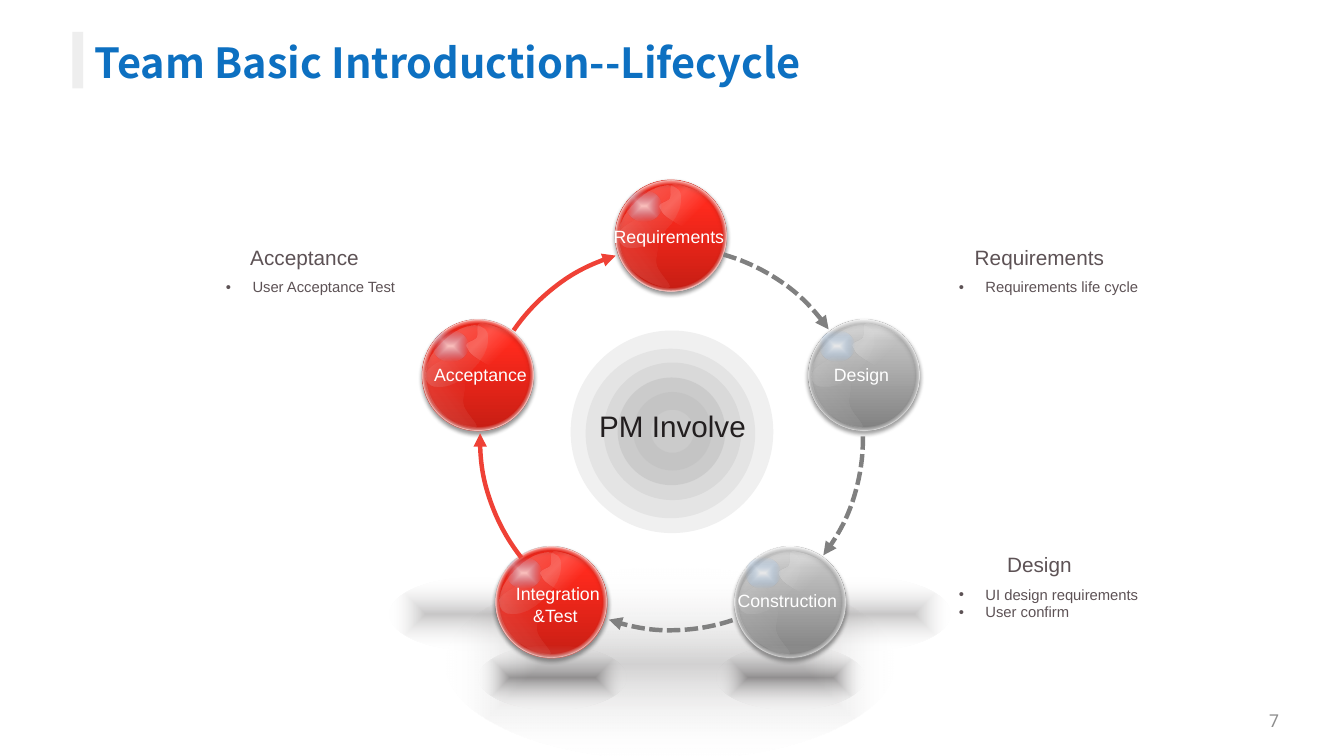
from math import cos, radians, sin

from pptx import Presentation
from pptx.dml.color import RGBColor
from pptx.enum.dml import MSO_LINE
from pptx.enum.shapes import MSO_SHAPE
from pptx.enum.text import MSO_ANCHOR, PP_ALIGN
from pptx.oxml import parse_xml
from pptx.oxml.ns import nsdecls, qn
from pptx.util import Emu, Pt

PX = 9144  # 100 px to the inch

WHITE = RGBColor(0xFF, 0xFF, 0xFF)
BLUE = RGBColor(0x0D, 0x70, 0xC1)
INK = RGBColor(0x22, 0x1E, 0x1F)
BROWN = RGBColor(0x5D, 0x52, 0x55)
PAGE_GREY = RGBColor(0x8D, 0x8D, 0x8D)
BAR_GREY = RGBColor(0xEE, 0xEE, 0xEE)
ARROW_GREY = RGBColor(0x80, 0x80, 0x80)
ARROW_RED = RGBColor(0xEF, 0x41, 0x36)
RIM_RED = RGBColor(0xEE, 0x3C, 0x30)
MID_GREY = RGBColor(0xBF, 0xBF, 0xBF)
PALE_GREY = RGBColor(0xD9, 0xD9, 0xD9)
SILVER = RGBColor(0xB6, 0xB6, 0xB6)
SKY = RGBColor(0x67, 0xAB, 0xF5)
CORE_GREY = RGBColor(0xCB, 0xCB, 0xCB)

# Gradient stops: position, colour, opacity in percent
RED_STOPS = ((0, RGBColor(0xC7, 0x1E, 0x14), 100), (80, RGBColor(0xFF, 0x2A, 0x1D), 100),
             (100, RGBColor(0xFF, 0x2C, 0x1E), 100))
GREY_STOPS = ((0, ARROW_GREY, 100), (80, MID_GREY, 100), (100, PALE_GREY, 100))
RIM_STOPS = ((0, WHITE, 0), (65, WHITE, 0), (74, WHITE, 100))

# Reflections inside a ball: start point, then Bezier points, from its top left
RIGHT_REFLECTION = (
    (55, 4), (49, 4), (53, 13), (51, 17), (49, 21), (37, 21), (43, 28), (45, 37), (79, 49),
    (82, 59), (85, 69), (83, 70), (86, 69), (89, 68), (101, 60), (101, 52), (101, 43),
    (94, 24), (86, 17), (78, 9), (61, 4), (55, 4))
LEFT_REFLECTION = (
    (34, 29), (31, 29), (21, 35), (16, 39), (11, 42), (5, 45), (3, 51), (2, 56), (3, 64),
    (6, 69), (8, 75), (11, 81), (16, 85), (21, 90), (28, 94), (34, 97), (40, 99), (50, 103),
    (51, 100), (52, 97), (41, 87), (39, 80), (37, 73), (41, 66), (40, 59), (38, 52),
    (34, 40), (33, 35), (32, 30), (37, 28), (34, 29))

BALL = 104
CYCLE_X, CYCLE_Y, CYCLE_RADIUS = 629, 411, 190

# Rings: left, top, size, fill
RINGS = ((535, 310, 190, RGBColor(0xF0, 0xF0, 0xF0)), (549, 327, 159, RGBColor(0xE4, 0xE4, 0xE4)),
         (566, 340, 129, PALE_GREY))
# Label, is red, label left, top, width and height
STAGES = (("Requirements ", True, 556, 207, 147, 30), ("Design ", False, 763, 336, 94, 30),
          ("Construction ", False, 680, 548, 121, 30),
          ("Integration &Test ", True, 472, 542, 102, 50),
          ("Acceptance ", True, 397, 336, 107, 30))
# Rotation, start and end angle, is red
ARROWS = ((145.6, 285.77, 323.49, False), (219.1, 282.5, 322.54, True),
          (0, 285.77, 325.15, False), (73.5, 285.77, 324, False),
          (289.6, 284.88, 323.49, True))
# Heading, its left and top, bullets, their left, width and alignment
NOTES = (("Acceptance", 197, 225, ("User Acceptance Test",), 199, 184, PP_ALIGN.CENTER),
         ("Requirements", 886, 225, ("Requirements life cycle",), 889, 189, PP_ALIGN.LEFT),
         ("Design", 886, 513, ("UI design requirements", "User confirm"), 889, 201,
          PP_ALIGN.LEFT))


def add_preset(page, preset, left, top, width, height, fill=None):
    shape = page.shapes.add_shape(preset, *(Emu(round(v * PX)) for v in (left, top, width, height)))
    shape.shadow.inherit = False
    shape.line.fill.background()
    if fill is None:
        shape.fill.background()
    else:
        shape.fill.solid()
        shape.fill.fore_color.rgb = fill
    return shape


def add_oval(page, left, top, width, height, fill=None):
    return add_preset(page, MSO_SHAPE.OVAL, left, top, width, height, fill)


def set_line(shape, colour, points):
    shape.line.color.rgb = colour
    shape.line.width = Pt(points)


def set_opacity(parent, percent):
    colour = next(parent.iter(qn("a:srgbClr")))
    colour.append(parse_xml(f'<a:alpha {nsdecls("a")} val="{percent * 1000}"/>'))


def set_gradient(shape, stops, angle=None, kind="shape", focus=(50, 50, 50, 50)):
    """A linear gradient when an angle is given, otherwise one around the focus."""
    stop_xml = "".join(
        f'<a:gs pos="{position * 1000}"><a:srgbClr val="{colour}">'
        f'<a:alpha val="{opacity * 1000}"/></a:srgbClr></a:gs>'
        for position, colour, opacity in stops)
    if angle is None:
        sides = " ".join(f'{side}="{v * 1000}"' for side, v in zip("ltrb", focus))
        course = f'<a:path path="{kind}"><a:fillToRect {sides}/></a:path>'
    else:
        course = f'<a:lin ang="{angle * 60000}" scaled="0"/>'
    shape.fill.solid()
    properties = shape.element.spPr
    properties.replace(properties.find(qn("a:solidFill")), parse_xml(
        f'<a:gradFill {nsdecls("a")} rotWithShape="1"><a:gsLst>{stop_xml}</a:gsLst>'
        f'{course}</a:gradFill>'))


def set_drop_shadow(shape):
    shape.element.spPr.find(qn("a:effectLst")).append(parse_xml(
        f'<a:outerShdw {nsdecls("a")} blurRad="{Pt(3.1)}" dist="{Pt(1.8)}" dir="5400000" '
        'algn="t" rotWithShape="0"><a:srgbClr val="000000"><a:alpha val="35000"/>'
        '</a:srgbClr></a:outerShdw>'))


def add_glow(page, left, top, width, height, opacity):
    glow = add_oval(page, left, top, width, height)
    set_gradient(glow, ((0, INK, opacity), (100, WHITE, 0)))


def add_reflection(page, left, top, outline):
    start, *points = [((left + x) * PX, (top + y) * PX) for x, y in outline]
    builder = page.shapes.build_freeform(*start)
    builder.add_line_segments(points, close=True)
    shape = builder.convert_to_shape()
    shape.shadow.inherit = False
    shape.line.fill.background()
    # Every three line points become one Bezier curve
    lines = list(shape.element.iter(qn("a:lnTo")))
    for i in range(0, len(lines), 3):
        curve = parse_xml(f'<a:cubicBezTo {nsdecls("a")}/>')
        lines[i].addprevious(curve)
        for line in lines[i:i + 3]:
            curve.append(line[0])
            line.getparent().remove(line)
    return shape


def add_ball(page, x, y, red):
    left, top = x - BALL / 2, y - BALL / 2
    # Body and rim
    body = add_oval(page, left, top, BALL, BALL)
    set_gradient(body, RED_STOPS if red else GREY_STOPS, angle=270)
    if red:
        set_line(body, RIM_RED, 0.75)
    rim = add_oval(page, left, top, BALL, BALL)
    set_gradient(rim, RIM_STOPS, kind="circle")
    set_line(rim, WHITE, 0.75)
    set_opacity(rim.element.spPr.find(qn("a:ln")), 25)
    for shape in (body, rim):
        set_drop_shadow(shape)
    # Gloss and reflections
    gloss = add_oval(page, left - 4, top + 15, 72, 38)
    gloss.rotation = 315
    set_gradient(gloss, ((0, WHITE, 33), (100, SILVER, 0)), angle=90)
    spark = add_oval(page, left + 10, top + 10, 33, 29)
    set_gradient(spark, ((0, WHITE, 65), (100, SKY, 0)))
    set_gradient(add_reflection(page, left, top, RIGHT_REFLECTION),
                 ((50, WHITE, 0), (74, WHITE, 19), (100, WHITE, 0)),
                 kind="circle", focus=(100, 100, 0, 0))
    set_gradient(add_reflection(page, left, top, LEFT_REFLECTION),
                 ((0, WHITE, 0), (28, WHITE, 0), (74, WHITE, 11)), angle=142)
    low_gloss = add_oval(page, left + 39, top + 56, 72, 38)
    low_gloss.rotation = 135
    set_gradient(low_gloss, ((0, WHITE, 33), (20, SILVER, 0)), angle=90)


def add_arrow(page, rotation, start, end, red):
    arrow = add_preset(page, MSO_SHAPE.ARC, 450, 232, 359, 359)
    arrow.rotation = rotation
    arrow.adjustments[0], arrow.adjustments[1] = start * 0.6, end * 0.6
    set_line(arrow, ARROW_RED if red else ARROW_GREY, 3)
    if not red:
        arrow.line.dash_style = MSO_LINE.SQUARE_DOT
    arrow.element.spPr.find(qn("a:ln")).append(
        parse_xml(f'<a:tailEnd {nsdecls("a")} type="triangle"/>'))


def add_text(page, left, top, width, height, lines, size, colour, font="Arial",
             align=PP_ALIGN.CENTER, anchor=MSO_ANCHOR.TOP, bold=False, bullet=False):
    box = page.shapes.add_textbox(*(Emu(v * PX) for v in (left, top, width, height)))
    frame = box.text_frame
    frame.word_wrap = True
    frame.vertical_anchor = anchor
    frame.text = "\n".join(lines)
    for para in frame.paragraphs:
        para.alignment = align
        if bullet:
            settings = para._p.get_or_add_pPr()
            settings.set("marL", str(25 * PX))
            settings.set("indent", str(-25 * PX))
            settings.append(parse_xml(f'<a:buFont {nsdecls("a")} typeface="Arial"/>'))
            settings.append(parse_xml(f'<a:buChar {nsdecls("a")} char="•"/>'))
        for span in para.runs:
            span.font.name, span.font.size, span.font.bold = font, Pt(size), bold
            span.font.color.rgb = colour
    return frame


def main():
    deck = Presentation()
    deck.slide_width, deck.slide_height = Emu(1260 * PX), Emu(709 * PX)
    page = deck.slides.add_slide(deck.slide_layouts[6])

    # Title and page number
    add_preset(page, MSO_SHAPE.RECTANGLE, 68, 30, 10, 53, BAR_GREY)
    add_text(page, 915, 657, 294, 38, ["7"], 12, PAGE_GREY, "Roboto", PP_ALIGN.RIGHT,
             MSO_ANCHOR.MIDDLE)
    title = add_text(page, 79, 31, 986, 49, ["Team Basic Introduction--Lifecycle"], 28, BLUE,
                     "Noto Sans CJK SC", PP_ALIGN.LEFT, bold=True)
    title.margin_top = Emu(4 * PX)

    # Rings in the middle and glows on the floor
    for left, top, size, grey in RINGS:
        add_oval(page, left, top, size, size, grey)
    inner_ring = add_oval(page, 579, 354, 101, 101, MID_GREY)
    set_opacity(inner_ring.element.spPr, 50)
    for left in (365, 730):
        add_glow(page, left, 542, 161, 68, 25)
    add_glow(page, 418, 532, 421, 180, 20)

    # Cycle: balls, arrows, labels
    for i, (_, red, *_) in enumerate(STAGES):
        turn = radians(72 * i)
        add_ball(page, round(CYCLE_X + CYCLE_RADIUS * sin(turn)),
                 round(CYCLE_Y - CYCLE_RADIUS * cos(turn)), red)
    for arrow in ARROWS:
        add_arrow(page, *arrow)
    for label, _, *place in STAGES:
        add_text(page, *place, [label], 12, WHITE)

    # Shadows under the lower balls, then the core
    for left in (449, 672):
        add_glow(page, left, 606, 138, 59, 40)
    core = add_oval(page, 602, 376, 57, 57, CORE_GREY)
    set_line(core, MID_GREY, 12)
    set_opacity(core.element.spPr, 50)
    set_opacity(core.element.spPr.find(qn("a:ln")), 50)
    add_text(page, 531, 378, 199, 44, ["PM Involve"], 20, INK)

    # Notes beside the cycle
    for heading, left, top, bullets, bullet_left, width, align in NOTES:
        add_text(page, bullet_left, top + 31, width, 10 + 17 * len(bullets), bullets, 10, BROWN,
                 align=align, bullet=True)
        add_text(page, left, top, 177, 34, [heading], 14, BROWN)

    deck.save("out.pptx")


if __name__ == "__main__":
    main()
